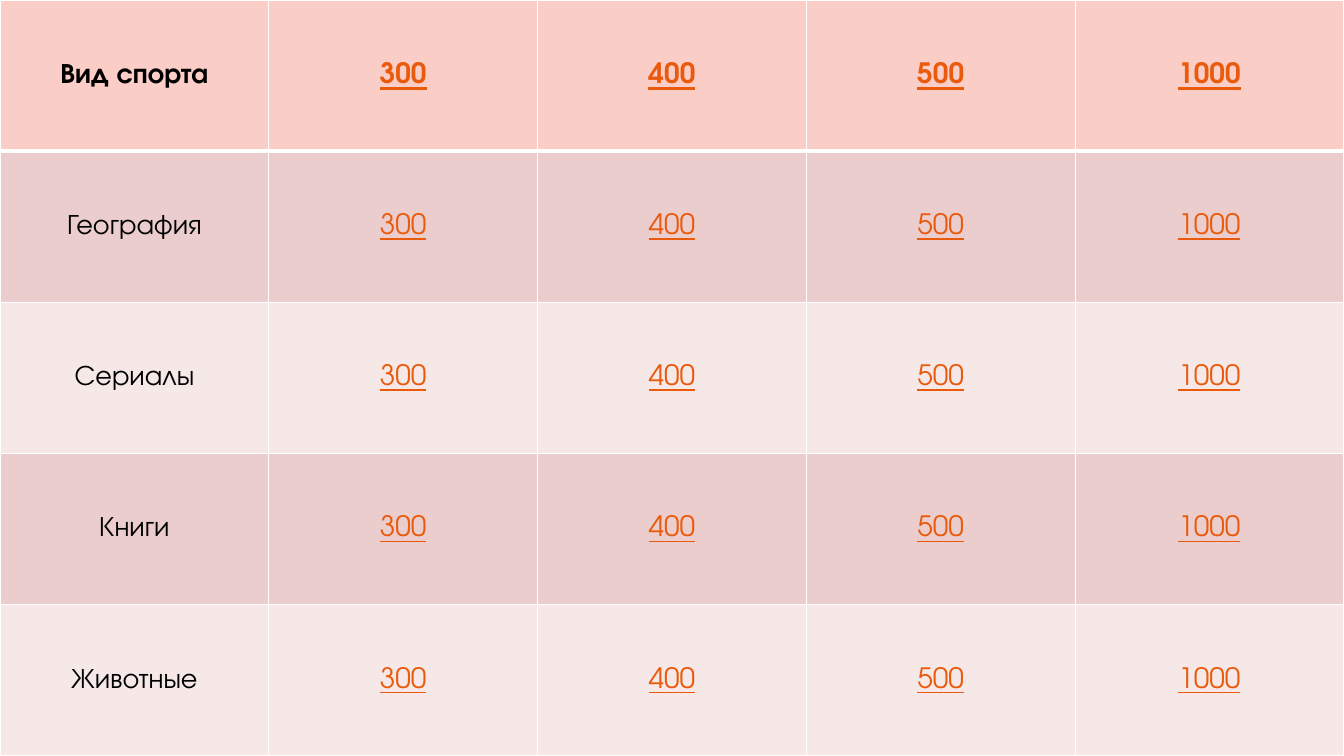
from lxml import etree
from pptx import Presentation
from pptx import util as u
from pptx.dml.color import RGBColor
from pptx.enum import text
from pptx.oxml import ns

TOPICS = ["Вид спорта", "География", "Сериалы", "Книги", "Животные"]
POINTS = ["300", "400", "500", "1000"]
FONT = "TeX Gyre Adventor"
WIDE, HIGH = 13.33, 7.5
COLORS = {
    "head": "FBCDC7",
    "dark": "EACDCC",
    "light": "F5E8E7",
    "rule": "FFFFFF",
    "topic": "000000",
    "points": "EA5A0C",
}


def write(cell, words, color, bold=False, line=False):
    cell.vertical_anchor = text.MSO_ANCHOR.MIDDLE
    para = cell.text_frame.paragraphs[0]
    para.alignment = text.PP_ALIGN.CENTER
    run = para.add_run()
    run.text = words
    font = run.font
    font.name, font.size = FONT, u.Pt(20)
    font.bold, font.underline = bold, line
    font.color.rgb = RGBColor.from_string(COLORS[color])


def border(cell, **sides):
    props = cell._tc.get_or_add_tcPr()
    for side, width in sides.items():
        line = etree.SubElement(props, ns.qn("a:ln" + side), w=str(u.Pt(width)))
        fill = etree.SubElement(line, ns.qn("a:solidFill"))
        etree.SubElement(fill, ns.qn("a:srgbClr"), val=COLORS["rule"])


def shade(row):
    if row == 0:
        return COLORS["head"]
    return COLORS["dark" if row % 2 else "light"]


def main():
    deck = Presentation()
    deck.slide_width, deck.slide_height = u.Inches(WIDE), u.Inches(HIGH)
    slide = deck.slides.add_slide(deck.slide_layouts[6])
    rows, cols = len(TOPICS), len(POINTS) + 1
    board = slide.shapes.add_table(
        rows, cols, 0, 0, u.Inches(WIDE), u.Inches(HIGH)
    ).table

    for row, topic in enumerate(TOPICS):
        for col, words in enumerate([topic] + POINTS):
            cell = board.cell(row, col)
            border(cell, L=1, R=1, T=3 if row == 1 else 1, B=3 if row == 0 else 1)
            cell.fill.solid()
            cell.fill.fore_color.rgb = RGBColor.from_string(shade(row))
            color = "points" if col else "topic"
            write(cell, words, color, bold=row == 0, line=col > 0)

    deck.save("out.pptx")


if __name__ == "__main__":
    main()
